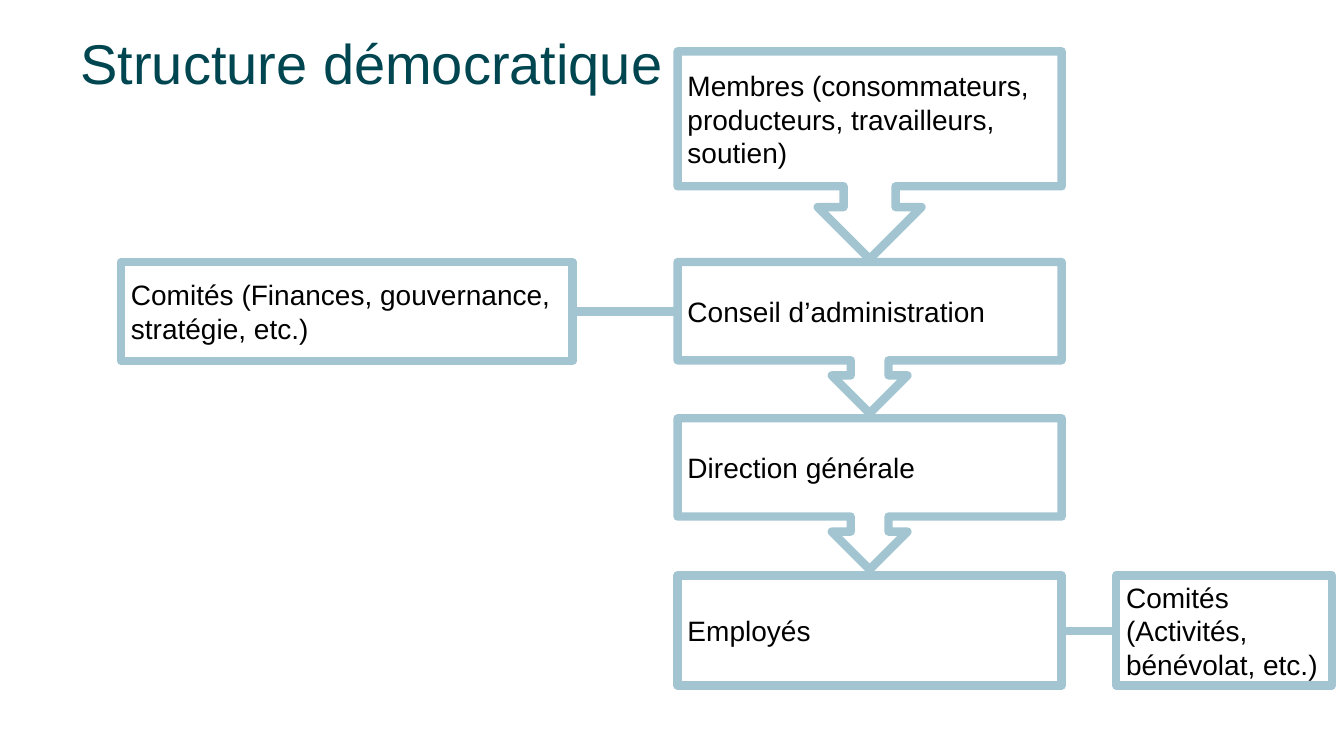
from pptx import Presentation
from pptx import util as u
from pptx.dml.color import RGBColor
from pptx.enum import shapes, text
from pptx.oxml.ns import qn
from lxml import etree

PX = 9144  # EMU per px, 100 px to the inch
COLORS = {"title": "004650", "border": "A2C5D1", "fill": "FFFFFF", "text": "000000"}
CALLOUT = shapes.MSO_SHAPE.DOWN_ARROW_CALLOUT
RECTANGLE = shapes.MSO_SHAPE.RECTANGLE


def write(box, lines, size=20, color="text", anchor=text.MSO_ANCHOR.MIDDLE,
          inset=10, spacing=None):
    frame = box.text_frame
    frame.word_wrap = True
    frame.vertical_anchor = anchor
    frame.margin_left = frame.margin_right = 10 * PX
    frame.margin_top = frame.margin_bottom = inset * PX
    frame.text = lines
    for para in frame.paragraphs:
        para.alignment = text.PP_ALIGN.LEFT
        para.line_spacing = spacing
        for span in para.runs:
            span.font.name = "Arial"
            span.font.size = u.Pt(size)
            span.font.color.rgb = RGBColor.from_string(COLORS[color])


def outline(line):
    line.color.rgb = RGBColor.from_string(COLORS["border"])
    line.width = u.Pt(6)


deck = Presentation()
deck.slide_width, deck.slide_height = 1333 * PX, 750 * PX
page = deck.slides.add_slide(deck.slide_layouts[6])

# Title
title = page.shapes.add_textbox(70 * PX, 31 * PX, 891 * PX, 109 * PX)
write(title, "Structure démocratique", size=40, color="title",
      anchor=text.MSO_ANCHOR.TOP, inset=5, spacing=0.9)

# Chain of authority, then the committees beside it
boxes = [
    (CALLOUT, 672, 51, 381, 206, "Membres (consommateurs, producteurs, travailleurs, soutien)"),
    (CALLOUT, 672, 260, 381, 150, "Conseil d’administration"),
    (CALLOUT, 672, 415, 381, 150, "Direction générale"),
    (RECTANGLE, 672, 571, 381, 109, "Employés"),
    (RECTANGLE, 1107, 571, 214, 109, "Comités (Activités,\nbénévolat, etc.)"),
    (RECTANGLE, 120, 260, 448, 98, "Comités (Finances, gouvernance,\nstratégie, etc.)"),
]
for kind, left, top, width, height, label in boxes:
    box = page.shapes.add_shape(kind, left * PX, top * PX, width * PX, height * PX)
    box.shadow.inherit = False
    if kind == CALLOUT:
        for index, value in enumerate((0.25, 0.25, 0.25, 0.65)):
            box.adjustments[index] = value
    box.fill.solid()
    box.fill.fore_color.rgb = RGBColor.from_string(COLORS["fill"])
    outline(box.line)
    write(box, label)

# Links to the committees
for start, end, y in [(1053, 1108, 626), (567, 672, 309)]:
    link = page.shapes.add_connector(shapes.MSO_CONNECTOR.STRAIGHT,
                                     start * PX, y * PX, end * PX, y * PX)
    outline(link.line)
    etree.SubElement(link._element.spPr, qn("a:effectLst"))

deck.save("out.pptx")
